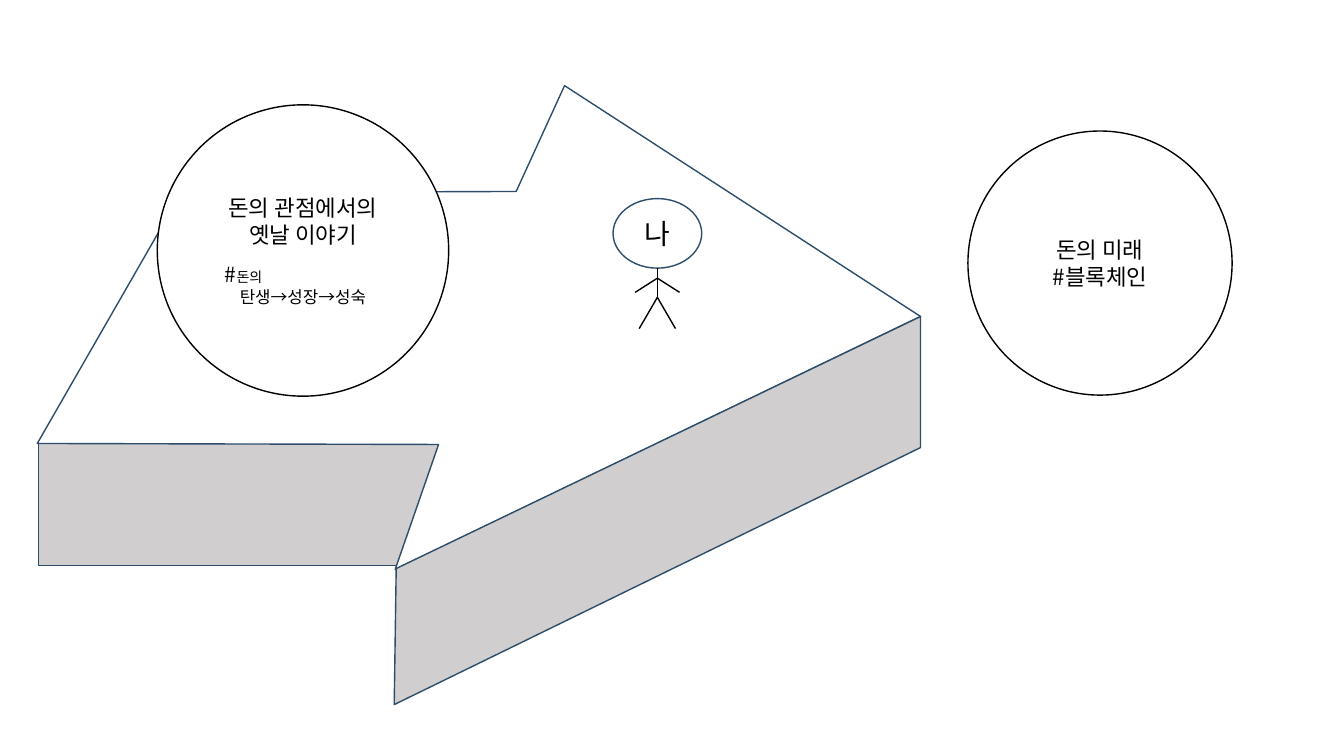
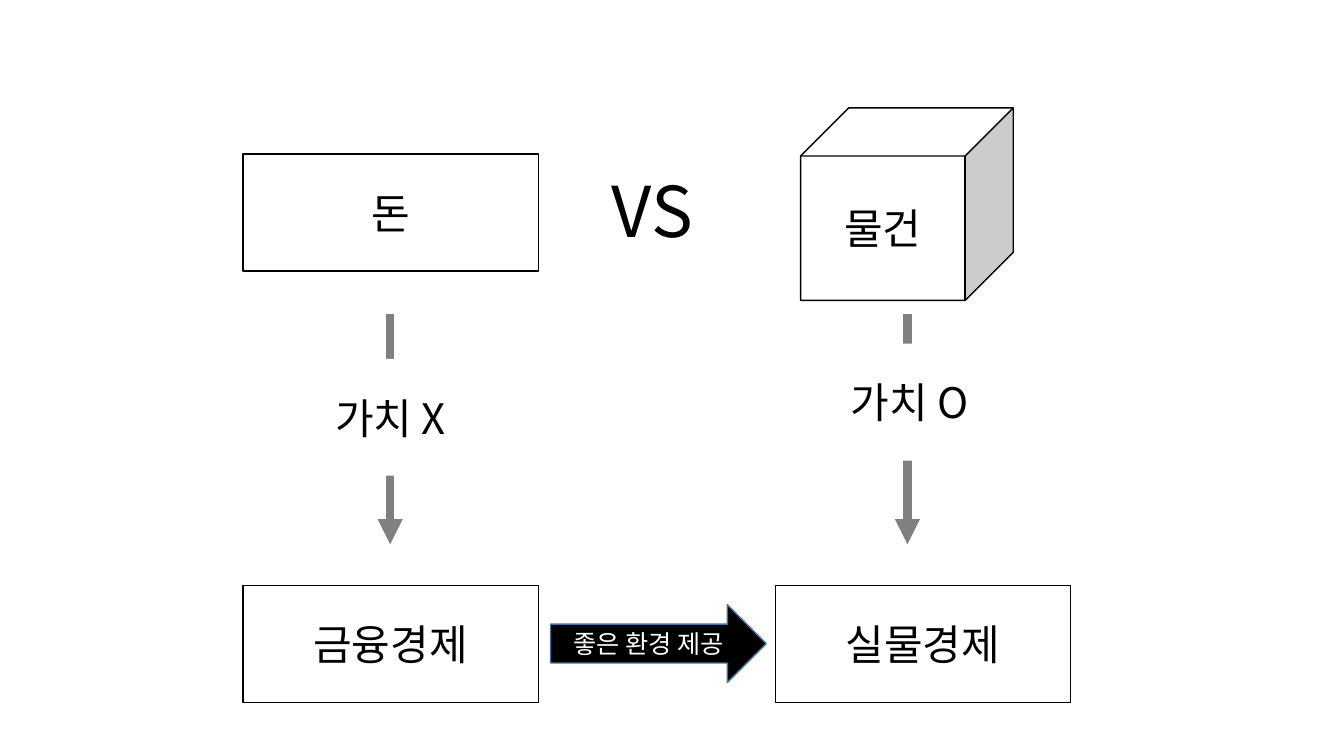
from lxml.etree import SubElement
from pptx import Presentation
from pptx.dml.color import RGBColor
from pptx.enum.shapes import MSO_CONNECTOR, MSO_SHAPE
from pptx.enum.text import MSO_ANCHOR, PP_ALIGN
from pptx.oxml.ns import qn
from pptx.util import Inches, Pt

FONT = "Noto Sans CJK KR"
BLACK, WHITE, GRAY = "000000", "FFFFFF", "808080"
NAVY, BLUE, SIDE_GRAY = "2D4D6A", "43739E", "D0CECE"
BOX_SIZE = (2.93, 1.16)


def color(hex_value):
    return RGBColor.from_string(hex_value)


def paint(shape, fill, line):
    """Set a flat fill and a 1 pt outline; a line of None means no outline."""
    shape.shadow.inherit = False
    shape.fill.solid()
    shape.fill.fore_color.rgb = color(fill)
    if line is None:
        shape.line.fill.background()
    else:
        shape.line.color.rgb = color(line)
        shape.line.width = Pt(1)


def add_span(para, text, size, text_color=BLACK):
    span = para.add_run()
    span.text = text
    for name, value in {"name": FONT, "size": Pt(size)}.items():
        setattr(span.font, name, value)
    span.font.color.rgb = color(text_color)
    SubElement(span.font._element, qn("a:ea"), typeface=FONT)


def write_lines(shape, lines):
    """Fill a shape with paragraphs, each a pair of spans and paragraph format."""
    frame = shape.text_frame
    frame.word_wrap = True
    for index, (spans, para_format) in enumerate(lines):
        para = frame.add_paragraph() if index else frame.paragraphs[0]
        line_format = {"alignment": PP_ALIGN.CENTER,
                       "line_spacing": Pt(1.2 * spans[0][1])}
        for name, value in (line_format | para_format).items():
            setattr(para, name, value)
        for text, size in spans:
            add_span(para, text, size)


def add_figure(shapes, kind, place, fill=WHITE, line=BLACK):
    shape = shapes.add_shape(kind, *map(Inches, place))
    paint(shape, fill, line)
    shape.text_frame.vertical_anchor = MSO_ANCHOR.MIDDLE
    return shape


def add_label(shapes, kind, place, text, size=30, text_color=BLACK, **look):
    shape = add_figure(shapes, kind, place, **look)
    shape.text_frame.word_wrap = True
    para = shape.text_frame.paragraphs[0]
    para.alignment = PP_ALIGN.CENTER
    add_span(para, text, size, text_color)


def add_outline(shapes, points, fill):
    corners = [(Inches(x), Inches(y)) for x, y in points]
    builder = shapes.build_freeform(*corners[0])
    builder.add_line_segments(corners[1:], close=True)
    paint(builder.convert_to_shape(), fill, NAVY)


def add_line(shapes, start, end, line=BLACK, width=1, arrow=False):
    connector = shapes.add_connector(MSO_CONNECTOR.STRAIGHT,
                                     *map(Inches, (*start, *end)))
    connector.line.color.rgb = color(line)
    connector.line.width = Pt(width)
    if arrow:
        SubElement(connector.line._get_or_add_ln(), qn("a:tailEnd"), type="triangle")
    SubElement(connector._element.spPr, qn("a:effectLst"))


def add_block_arrow(page):
    """Draw the arrow-shaped platform with its two gray sides."""
    shapes = page.shapes.add_group_shape().shapes
    add_figure(shapes, MSO_SHAPE.RECTANGLE, (0.38, 4.4, 4.03, 1.21), SIDE_GRAY, NAVY)
    add_outline(shapes, [(5.12, 1.9), (1.8, 1.91), (0.37, 4.4), (4.35, 4.41),
                         (3.92, 5.65), (9.13, 3.14), (5.6, 0.85)], WHITE)
    add_outline(shapes, [(3.91, 6.99), (9.13, 4.44), (9.13, 3.14), (3.93, 5.64)],
                SIDE_GRAY)


def add_stick_person(page):
    shapes = page.shapes.add_group_shape().shapes
    center, shoulder, hip = 6.52, 2.76, 2.95
    add_label(shapes, MSO_SHAPE.OVAL, (center - 0.44, 1.97, 0.88, 0.69), "나",
              size=20, line=NAVY)
    add_line(shapes, (center, 2.66), (center, hip))
    for side in (-1, 1):
        add_line(shapes, (center, shoulder), (center + side * 0.22, 2.9))
        add_line(shapes, (center, hip), (center + side * 0.18, 3.26))


def build_story_page(page):
    add_block_arrow(page)
    add_stick_person(page)
    past = add_figure(page.shapes, MSO_SHAPE.OVAL, (1.56, 1.04, 2.89, 2.89))
    write_lines(past, [
        ([("돈의 관점에서의", 16)], {}),
        ([("옛날 이야기", 16)], {}),
        ([("#", 15), ("돈의", 10)],
         {"alignment": PP_ALIGN.LEFT, "space_before": Pt(10)}),
        ([("탄생→성장→성숙", 12)], {}),
    ])
    indent = past.text_frame.paragraphs[2]._p.get_or_add_pPr()
    indent.set("marL", str(Inches(0.15)))
    future = add_figure(page.shapes, MSO_SHAPE.OVAL, (9.6, 1.3, 2.62, 2.62))
    write_lines(future, [([("돈의 미래", 16)], {}), ([("#블록체인", 16)], {})])


def build_comparison_page(page):
    shapes = page.shapes
    for center in (9, 3.87):
        add_line(shapes, (center, 3.12), (center, 5.4), GRAY, 6, arrow=True)

    versus = shapes.add_textbox(*map(Inches, (5.97, 1.61, 1.13, 0.94)))
    versus.text_frame.word_wrap = True
    add_span(versus.text_frame.paragraphs[0], "VS", 50)

    add_label(shapes, MSO_SHAPE.CUBE, (7.94, 1.07, 2.11, 1.91), "물건")
    for left, top, text, line in (
        (2.41, 1.53, "돈", BLACK),
        (2.41, 3.56, "가치 X", None),
        (7.56, 3.41, "가치 O", None),
        (2.41, 5.81, "금융경제", BLACK),
        (7.69, 5.81, "실물경제", BLACK),
    ):
        add_label(shapes, MSO_SHAPE.RECTANGLE, (left, top, *BOX_SIZE), text, line=line)
    add_label(shapes, MSO_SHAPE.RIGHT_ARROW, (5.46, 6, 2.14, 0.77), "좋은 환경 제공",
              size=18, text_color=WHITE, fill=BLACK, line=BLUE)


def main():
    deck = Presentation()
    deck.slide_width, deck.slide_height = Inches(13.33), Inches(7.5)
    blank_layout = deck.slide_layouts[6]
    for build_page in (build_story_page, build_comparison_page):
        build_page(deck.slides.add_slide(blank_layout))
    deck.save("out.pptx")


if __name__ == "__main__":
    main()
